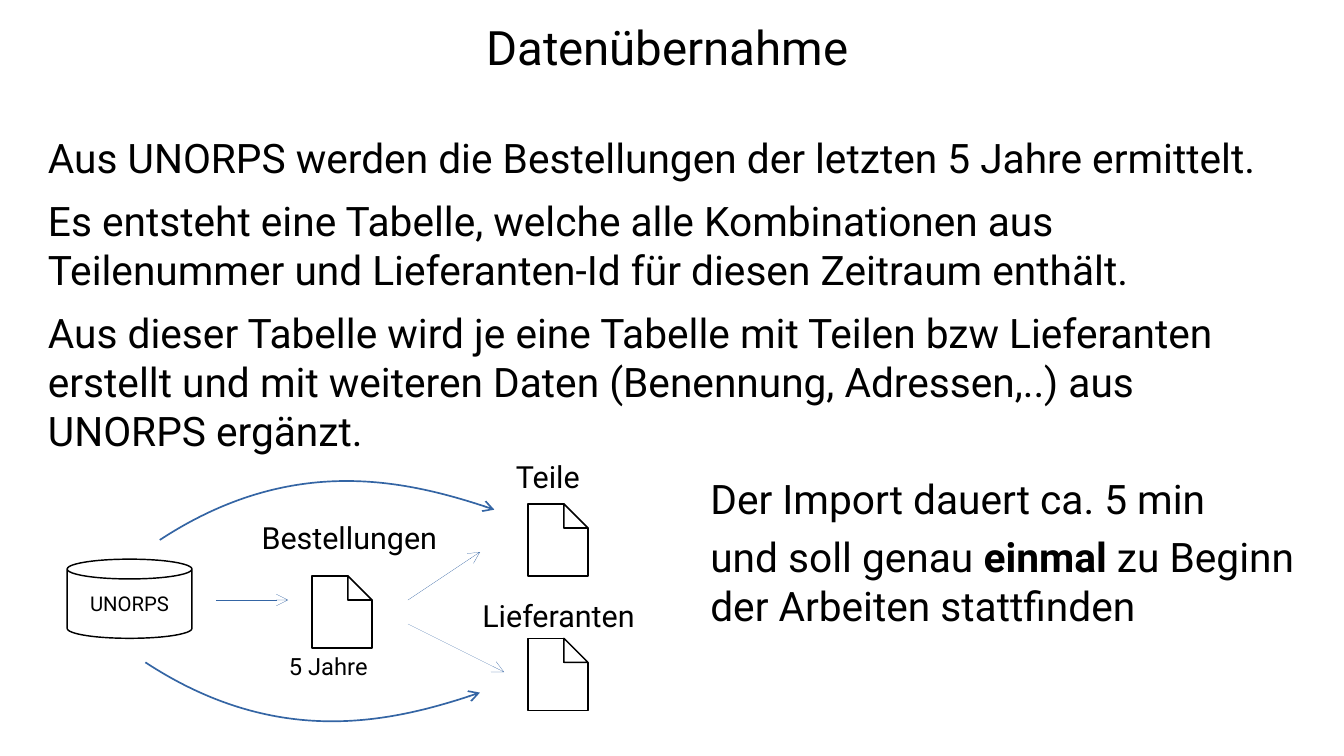
import pptx
import pptx.util
import pptx.dml.color
import pptx.enum.dml
import pptx.enum.shapes
import pptx.enum.text
import pptx.oxml.ns
from lxml import etree

Cm, Pt = pptx.util.Cm, pptx.util.Pt
ALIGN = pptx.enum.text.PP_ALIGN
ANCHOR = pptx.enum.text.MSO_ANCHOR
qn = pptx.oxml.ns.qn

FONT = "Roboto"
BLACK, WHITE, BLUE = "000000", "FFFFFF", "3465A4"
DOC_W, DOC_H, FOLD = 1.25, 1.5, 0.5
HAIRLINE = 0.01

IMPORT_STEPS = [
    [("Aus UNORPS werden die Bestellungen der letzten 5 Jahre ermittelt.", False)],
    [("Es entsteht eine Tabelle, welche alle Kombinationen aus Teilenummer "
      "und Lieferanten-Id für diesen Zeitraum enthält.", False)],
    [("Aus dieser Tabelle wird je eine Tabelle mit Teilen bzw Lieferanten "
      "erstellt und mit weiteren Daten (Benennung, Adressen,..) aus "
      "UNORPS ergänzt.", False)],
]
DURATION = [
    [("Der Import dauert ca. 5 min", False)],
    [("und soll genau ", False), ("einmal", True),
     (" zu Beginn der Arbeiten stattfinden", False)],
]
LABELS = [
    ("Bestellungen", 18, (5.2, 10.68, 4.17, 0.97)),
    ("Teile", 18, (10.5, 9.42, 2.49, 0.97)),
    ("Lieferanten", 18, (9.8, 12.32, 4.09, 1.09)),
    ("5 Jahre", 14, (5.77, 13.46, 2.16, 0.84)),
]
DOCUMENTS = [(6.5, 12), (11, 10.5), (11, 13.3)]
ARROWS = [(4.5, 12.5, 6, 12.5), (8.5, 12.5, 10, 11.5), (8.5, 13, 10.5, 14)]
UPPER_CURVE = [(3.33, 11.25), (6, 9.5), (8.5, 10), (10.3, 10.62)]
LOWER_CURVE = [(x - 0.3, 25.05 - y) for x, y in UPPER_CURVE]


def rgb(color):
    return pptx.dml.color.RGBColor.from_string(color)


def set_attributes(obj, values):
    for name, value in values.items():
        setattr(obj, name, value)


def write(tf, paragraphs, size, gap=0, align=ALIGN.LEFT, **frame):
    """Fill a text frame with paragraphs, each a list of (text, bold)."""
    set_attributes(tf, frame)
    for i, runs in enumerate(paragraphs):
        p = tf.add_paragraph() if i else tf.paragraphs[0]
        set_attributes(p, {"alignment": align, "line_spacing": 1.0,
                           "space_before": Pt(gap if i else 0)})
        for text, bold in runs:
            r = p.add_run()
            r.text = text
            set_attributes(r.font, {"name": FONT, "size": Pt(size), "bold": bold})
            r.font.color.rgb = rgb(BLACK)


def no_margins():
    return {"margin_" + side: 0 for side in ("left", "top", "right", "bottom")}


def add_text(s, box, paragraphs, size, **options):
    sp = s.shapes.add_textbox(*map(Cm, box))
    write(sp.text_frame, paragraphs, size, **options)


def outline(sp):
    sp.shadow.inherit = False
    sp.fill.solid()
    sp.fill.fore_color.rgb = rgb(WHITE)
    sp.line.color.rgb = rgb(BLACK)
    sp.line.width = Pt(0.85)


def freeform(shapes, points, close):
    start, *rest = [(Cm(x), Cm(y)) for x, y in points]
    builder = shapes.build_freeform(*start)
    builder.add_line_segments(rest, close=close)
    return builder.convert_to_shape()


def add_document(s, x, y):
    """Draw a sheet whose upper right corner is folded."""
    right, bottom = x + DOC_W, y + DOC_H
    fold_x, fold_y = right - FOLD, y + FOLD
    sheet = [(x, y), (x, bottom), (right, bottom), (right, fold_y),
             (fold_x, fold_y), (fold_x, y)]
    corner = [(right, fold_y), (fold_x, y), (fold_x, fold_y)]
    group = s.shapes.add_group_shape()
    for points in (sheet, corner):
        outline(freeform(group.shapes, points, True))


def arrow_line(sp, width):
    sp.line.color.rgb = rgb(BLUE)
    sp.line.width = Pt(width)
    ln = sp.line._get_or_add_ln()
    etree.SubElement(ln, qn("a:tailEnd"), type="arrow")


def add_arrow(s, x1, y1, x2, y2):
    sp = s.shapes.add_connector(pptx.enum.shapes.MSO_CONNECTOR.STRAIGHT,
                                Cm(x1), Cm(y1), Cm(x2), Cm(y2))
    arrow_line(sp, HAIRLINE)
    etree.SubElement(sp._element.spPr, qn("a:effectLst"))


def add_curve(s, points):
    """Draw an arrow along a cubic curve given by its four points."""
    sp = freeform(s.shapes, points, False)
    sp.shadow.inherit = False
    sp.fill.background()
    arrow_line(sp, 1)
    outline_xml = sp._element.xpath(".//a:path")[0]
    curve = etree.SubElement(outline_xml, qn("a:cubicBezTo"))
    for segment in outline_xml.findall(qn("a:lnTo")):
        curve.append(segment[0])
        outline_xml.remove(segment)


def add_database(s, box, name):
    sp = s.shapes.add_shape(pptx.enum.shapes.MSO_SHAPE.CAN, *map(Cm, box))
    outline(sp)
    write(sp.text_frame, [[(name, False)]], 12, align=ALIGN.CENTER,
          word_wrap=False, vertical_anchor=ANCHOR.MIDDLE)


def main():
    prs = pptx.Presentation()
    prs.slide_width, prs.slide_height = Cm(28), Cm(15.75)
    s = prs.slides.add_slide(prs.slide_layouts[5])

    title = s.shapes.title
    set_attributes(title, {"left": Cm(1.3), "top": Cm(0.38),
                           "width": Cm(25.2), "height": Cm(1.1)})
    write(title.text_frame, [[("Datenübernahme", False)]], 28,
          align=ALIGN.CENTER, vertical_anchor=ANCHOR.TOP, **no_margins())

    add_text(s, (1, 2.77, 25.2, 7.52), IMPORT_STEPS, 24, gap=8.5,
             word_wrap=True, **no_margins())
    add_text(s, (14.8, 9.87, 12.2, 5), DURATION, 24, gap=5.7,
             word_wrap=True, **no_margins())

    add_database(s, (1.4, 11.65, 2.6, 1.65), "UNORPS")
    for x, y in DOCUMENTS:
        add_document(s, x, y)
    for ends in ARROWS:
        add_arrow(s, *ends)
    for points in (UPPER_CURVE, LOWER_CURVE):
        add_curve(s, points)
    for text, size, box in LABELS:
        add_text(s, box, [[(text, False)]], size, word_wrap=False)

    prs.save("out.pptx")


if __name__ == "__main__":
    main()
